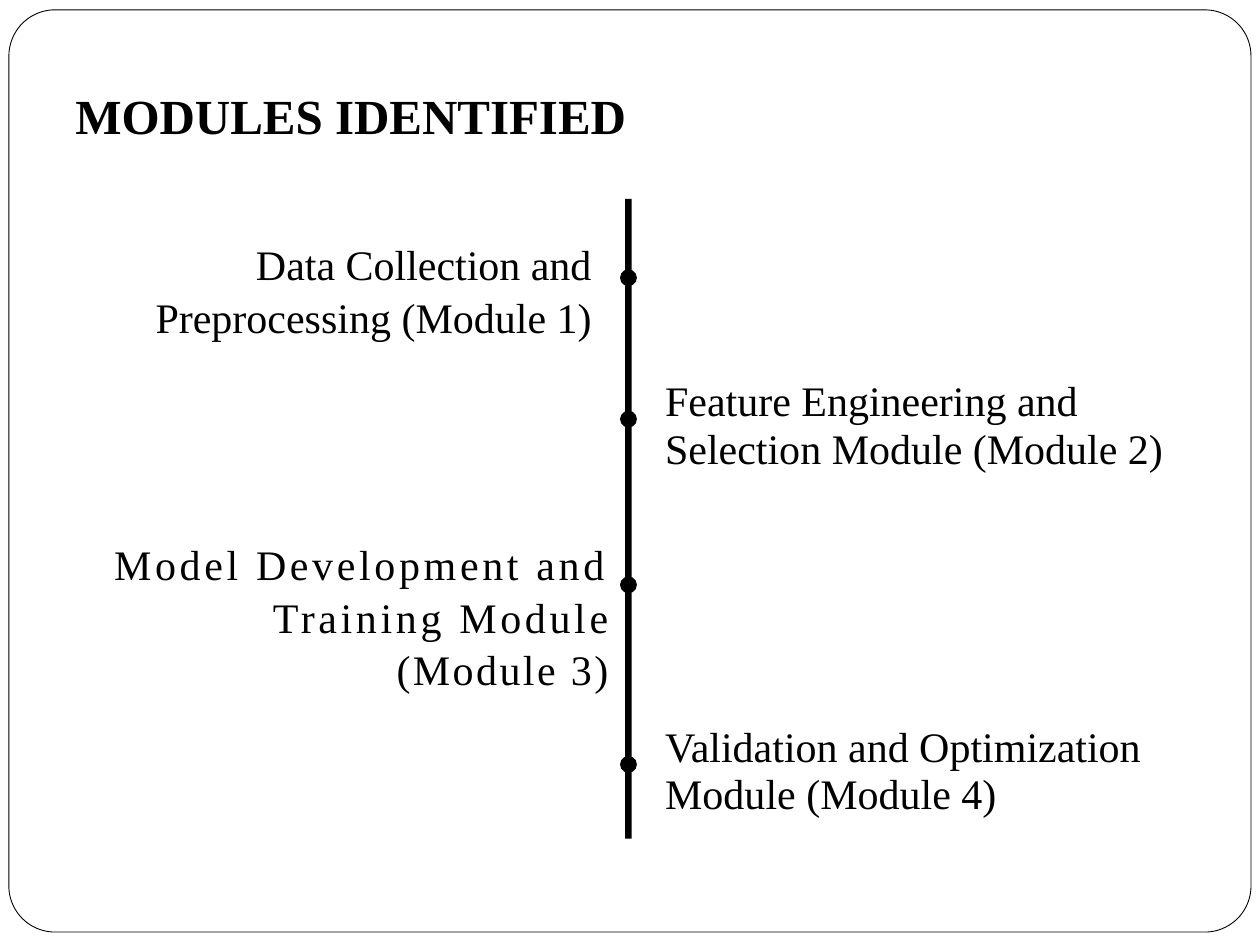
import dataclasses
import pptx
import pptx.dml.color
import pptx.enum.shapes
import pptx.enum.text
import pptx.util

Cm = pptx.util.Cm
Pt = pptx.util.Pt
Shape = pptx.enum.shapes.MSO_SHAPE
Align = pptx.enum.text.PP_ALIGN
Anchor = pptx.enum.text.MSO_ANCHOR


@dataclasses.dataclass(frozen=True)
class Theme:
    ink: pptx.dml.color.RGBColor = pptx.dml.color.RGBColor(0, 0, 0)
    paper: pptx.dml.color.RGBColor = pptx.dml.color.RGBColor(255, 255, 255)
    font: str = "Times New Roman"
    title_size: int = 28
    body_size: int = 24


@dataclasses.dataclass(frozen=True)
class Box:
    left: float
    top: float
    width: float
    height: float

    def lengths(self):
        return [Cm(value) for value in dataclasses.astuple(self)]


@dataclasses.dataclass(frozen=True)
class Module:
    lines: tuple
    dot_at: float
    on_left: bool
    gap: float = 0.74
    rise: float = 0.84
    width: float = 11
    height: float = 1.93
    tracking: tuple = (0,)


THEME = Theme()
MODULES = [
    Module(("Data Collection and Preprocessing (Module 1)",), 1.59, True,
           width=11.5, height=2.06),
    Module(("Feature Engineering and Selection Module (Module 2)",), 4.44, False),
    Module(("Model Development and Training Module", "(Module 3)"), 7.78, True,
           gap=0.4, rise=0.99, height=3.07, tracking=(210, 140)),
    Module(("Validation and Optimization Module (Module 4)",), 11.4, False),
]


def add_solid(page, kind, box, color):
    shape = page.shapes.add_shape(kind, *box.lengths())
    shape.shadow.inherit = False
    shape.fill.solid()
    shape.fill.fore_color.rgb = color
    shape.line.fill.background()
    return shape


def add_text(page, box, lines, size, margins=(0, 0, 0, 0)):
    frame = page.shapes.add_textbox(*box.lengths()).text_frame
    frame.word_wrap = True
    (frame.margin_left, frame.margin_top,
     frame.margin_right, frame.margin_bottom) = map(Cm, margins)
    frame.text = "\n".join(lines)
    for para in frame.paragraphs:
        para.font.name = THEME.font
        para.font.size = Pt(size)
        para.font.color.rgb = THEME.ink
    return frame


def add_frame(page, box):
    border = add_solid(page, Shape.ROUNDED_RECTANGLE, box, THEME.paper)
    border.adjustments[0] = 0.05
    border.line.color.rgb = THEME.ink
    border.line.width = Pt(0.5)


def add_title(page, box):
    frame = add_text(page, box, ["MODULES IDENTIFIED"], THEME.title_size,
                     (0.25, 0.13, 0.25, 0.25))
    frame.vertical_anchor = Anchor.BOTTOM
    frame.paragraphs[0].font.bold = True


def add_label(page, module, axis, center):
    left = axis - module.gap - module.width if module.on_left else axis + module.gap
    box = Box(left, center - module.rise, module.width, module.height)
    frame = add_text(page, box, module.lines, THEME.body_size)
    for para, tracking in zip(frame.paragraphs, module.tracking):
        para.alignment = Align.RIGHT if module.on_left else Align.LEFT
        para.line_spacing = 1.05 if module.on_left else Pt(27.3)
        if tracking:
            for span in para.runs:
                span.font._element.set("spc", str(tracking))


def add_timeline(page, box, modules):
    axis = box.left + box.width / 2
    stem, dot = 0.13, 0.34
    add_solid(page, Shape.RECTANGLE,
              Box(axis - stem / 2, box.top, stem, box.height), THEME.ink)
    for module in modules:
        center = box.top + module.dot_at
        add_solid(page, Shape.OVAL,
                  Box(axis - dot / 2, center - dot / 2, dot, dot), THEME.ink)
        add_label(page, module, axis, center)


def main():
    deck = pptx.Presentation()
    deck.slide_width, deck.slide_height = Cm(25.4), Cm(19.05)
    page = deck.slides.add_slide(deck.slide_layouts[6])
    add_frame(page, Box(0.18, 0.2, 25.04, 18.59))
    add_title(page, Box(1.27, 1.52, 12.7, 1.65))
    add_timeline(page, Box(0.67, 4.01, 24, 12.9), MODULES)
    deck.save("out.pptx")


if __name__ == "__main__":
    main()
